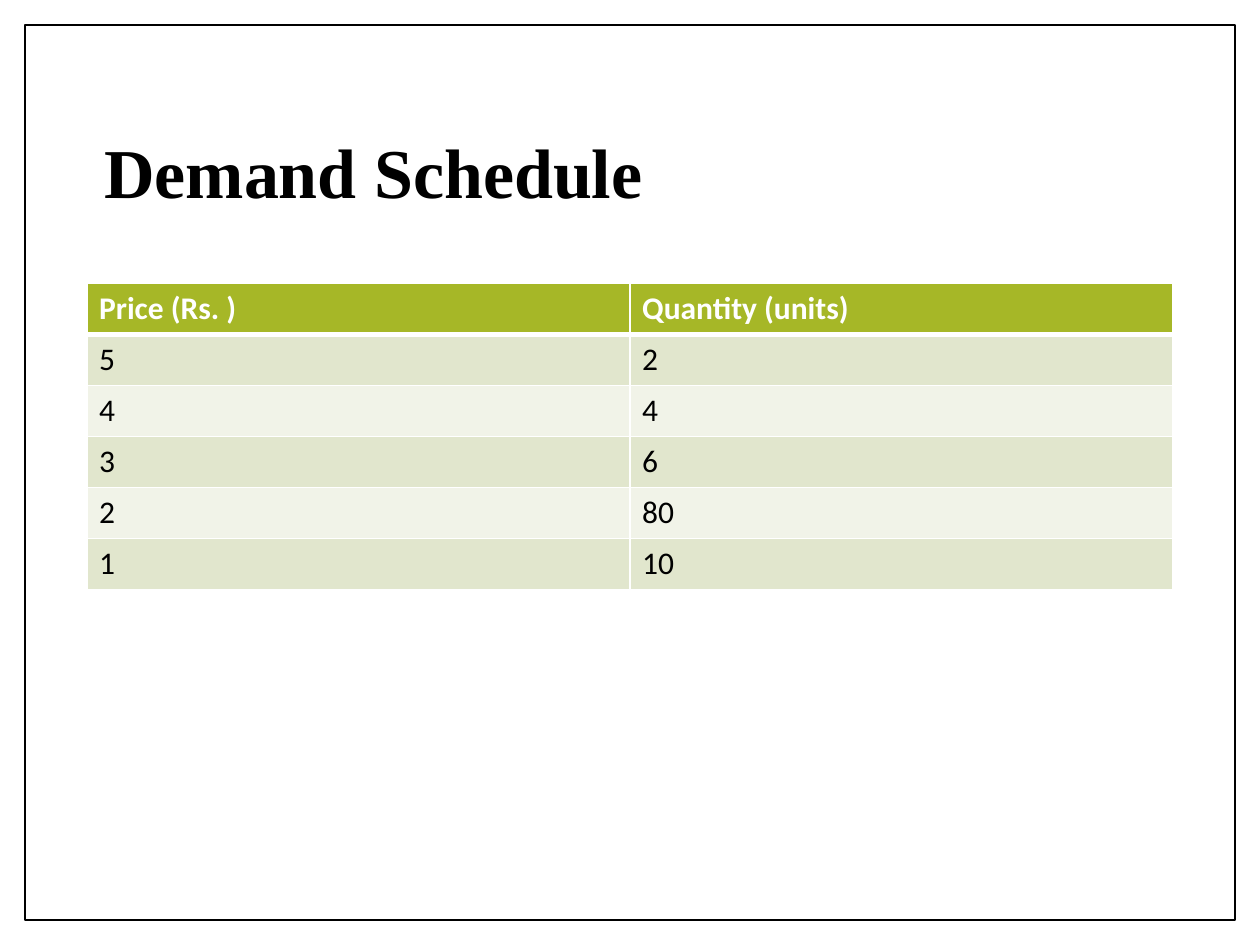
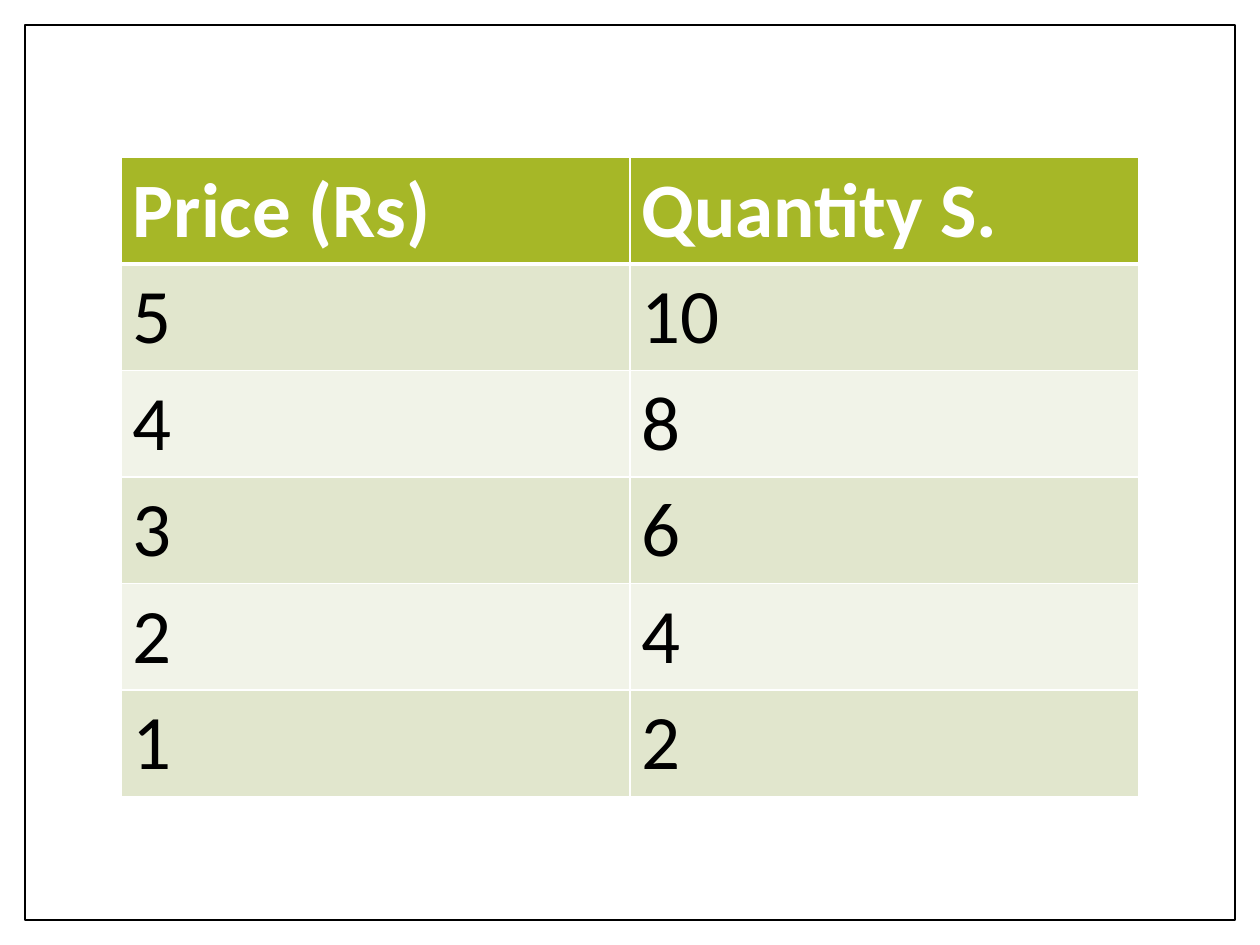
"""Build two framed slides with demand and supply schedules."""
from dataclasses import dataclass

from lxml import etree
from pptx import Presentation
from pptx.dml.color import RGBColor
from pptx.enum.shapes import MSO_SHAPE
from pptx.enum.text import MSO_ANCHOR
from pptx.oxml.ns import qn
from pptx.util import Pt

RECT = MSO_SHAPE.RECTANGLE
MIDDLE = MSO_ANCHOR.MIDDLE

SLIDES = [
    {
        "title": "Demand Schedule",
        "rows": [("Price (Rs. )", "Quantity (units)"),
                 (5, 2), (4, 4), (3, 6), (2, 80), (1, 10)],
        "top": 162, "width": 620.7, "size": 18, "pad": 7,
    },
    {
        "title": None,
        "rows": [("Price (Rs)", "Quantity S."),
                 (5, 10), (4, 8), (3, 6), (2, 4), (1, 2)],
        "top": 90, "width": 581.8, "size": 44, "pad": 6.8,
    },
]


@dataclass(frozen=True)
class Theme:
    """Shared colours, fonts and measures."""
    ink: str = "000000"
    paper: str = "FFFFFF"
    head: str = "A6B727"
    bands: tuple = ("E1E6CD", "F1F3E8")
    serif: str = "Times New Roman"
    sans: str = "Calibri"
    title: int = 40
    wide: int = 720
    high: int = 540
    edge: float = 14.4
    inset: float = 3.6
    line: int = 1
    rule: int = 3
    lead: float = 1.22


THEME = Theme()


def paint(fill, color):
    """Give a fill one solid colour."""
    fill.solid()
    fill.fore_color.rgb = RGBColor.from_string(color)


def style(frame, face, size, color, bold):
    """Format all runs of a text frame."""
    for para in frame.paragraphs:
        for run in para.runs:
            font = run.font
            font.name, font.size, font.bold = face, Pt(size), bold
            font.color.rgb = RGBColor.from_string(color)


def add_frame(slide):
    """Draw the thin border shared by the slides."""
    edge = THEME.edge
    box = slide.shapes.add_shape(
        RECT, Pt(edge), Pt(edge),
        Pt(THEME.wide - 2 * edge), Pt(THEME.high - 2 * edge))
    box.shadow.inherit = False
    paint(box.fill, THEME.paper)
    paint(box.line.fill, THEME.ink)
    box.line.width = Pt(THEME.line)


def add_title(slide, text):
    """Place the slide title."""
    box = slide.shapes.add_textbox(Pt(52.5), Pt(48), Pt(621), Pt(104.4))
    frame = box.text_frame
    frame.word_wrap = True
    frame.vertical_anchor = MIDDLE
    frame.text = text
    frame.paragraphs[0].line_spacing = 0.9
    style(frame, THEME.serif, THEME.title, THEME.ink, True)


def add_edges(cell, row):
    """Draw the cell borders, heavier below the header."""
    props = cell._tc.get_or_add_tcPr()
    heavy = {0: "lnB", 1: "lnT"}.get(row)
    for side in ("lnL", "lnR", "lnT", "lnB"):
        width = THEME.rule if side == heavy else THEME.line
        line = etree.SubElement(props, qn(f"a:{side}"), w=str(Pt(width)))
        fill = etree.SubElement(line, qn("a:solidFill"))
        etree.SubElement(fill, qn("a:srgbClr"), val=THEME.paper)


def add_grid(slide, spec):
    """Place a centred table with a header and banded rows."""
    rows, size, width = spec["rows"], spec["size"], spec["width"]
    step = size * THEME.lead + 2 * THEME.inset
    grid = slide.shapes.add_table(
        len(rows), len(rows[0]), Pt((THEME.wide - width) / 2),
        Pt(spec["top"]), Pt(width), Pt(step * len(rows))).table
    for i, row in enumerate(rows):
        grid.rows[i].height = Pt(step)
        head = i == 0
        for j, value in enumerate(row):
            cell = grid.cell(i, j)
            cell.margin_left = cell.margin_right = Pt(spec["pad"])
            cell.margin_top = cell.margin_bottom = Pt(THEME.inset)
            add_edges(cell, i)
            paint(cell.fill, THEME.head if head else THEME.bands[(i - 1) % 2])
            cell.text_frame.text = str(value)
            style(cell.text_frame, THEME.sans, size,
                  THEME.paper if head else THEME.ink, head)


def main():
    """Assemble and save the deck."""
    deck = Presentation()
    deck.slide_width, deck.slide_height = Pt(THEME.wide), Pt(THEME.high)
    for spec in SLIDES:
        slide = deck.slides.add_slide(deck.slide_layouts[6])
        paint(slide.background.fill, THEME.paper)
        add_frame(slide)
        if spec["title"]:
            add_title(slide, spec["title"])
        add_grid(slide, spec)
    deck.save("out.pptx")


if __name__ == "__main__":
    main()
